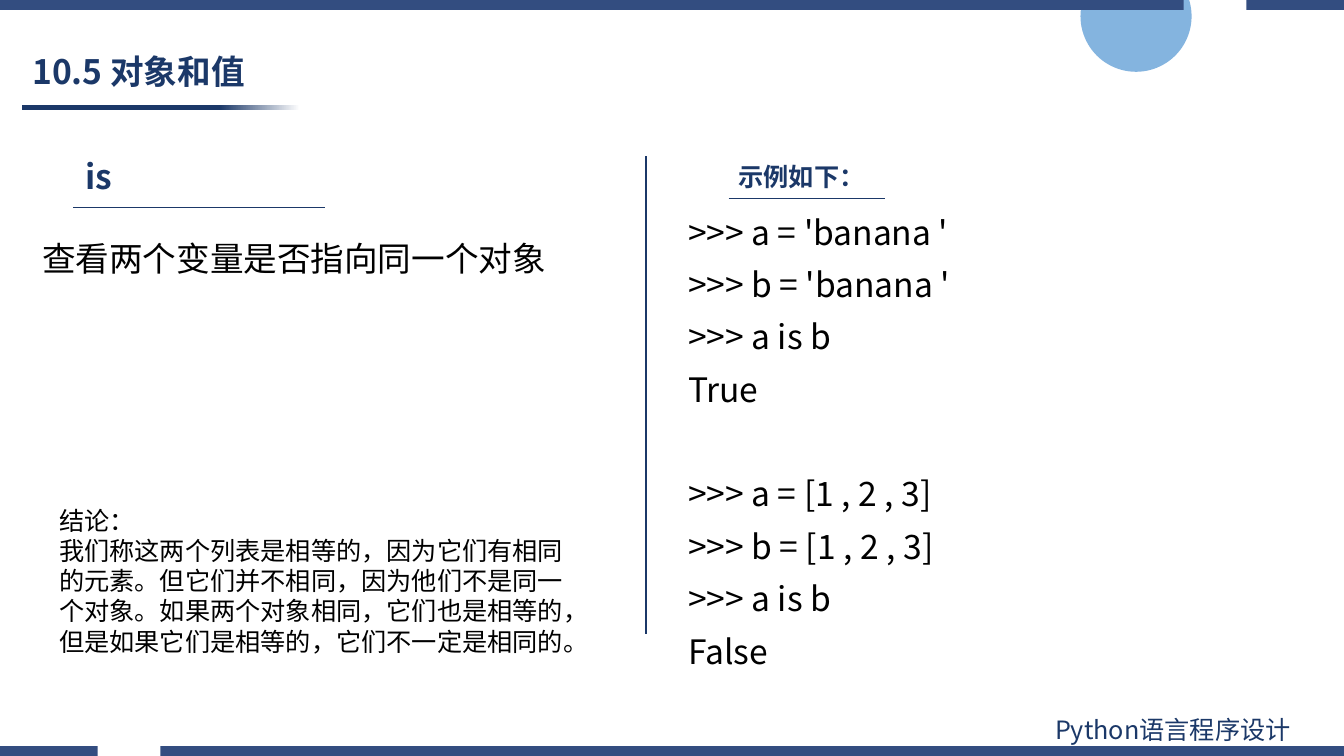
from lxml.etree import SubElement
from pptx import Presentation
from pptx.dml.color import RGBColor
from pptx.enum.shapes import MSO_CONNECTOR, MSO_SHAPE
from pptx.enum.text import MSO_ANCHOR, PP_ALIGN
from pptx.oxml.ns import qn
from pptx.util import Cm, Pt

PAGE_WIDTH, PAGE_HEIGHT = 33.87, 19.05
FONT = "Noto Sans CJK SC"
NAVY, BAR_BLUE, SKY, BLACK, WHITE = "1B3868", "334D80", "5B9BD5", "000000", "FFFFFF"
HEADING = {"size": Pt(24), "color": NAVY, "bold": True}
SUBHEADING = {"size": Pt(18), "color": NAVY, "bold": True}
BODY = {"size": Pt(24), "color": BLACK, "bold": False}
NOTE = {"size": Pt(18), "color": BLACK, "bold": False}
FOOTER = {"size": Pt(18), "color": NAVY, "bold": False}

FIRST_EXAMPLE = [">>> a = 'banana '", ">>> b = 'banana '", ">>> a is b", "True"]
SECOND_EXAMPLE = [">>> a = [1 , 2 , 3]", ">>> b = [1 , 2 , 3]", ">>> a is b", "False"]
CONCLUSION = [
    "结论：",
    "我们称这两个列表是相等的，因为它们有相同的元素。但它们并不相同，因为他们不是同一个对象。"
    "如果两个对象相同，它们也是相等的，但是如果它们是相等的，它们不一定是相同的。",
]


def rgb(hex_text):
    return RGBColor.from_string(hex_text)


def lengths(box):
    return [Cm(value) for value in box]


def fill_frame(frame, lines, style, spacing):
    frame.word_wrap = True
    for index, line in enumerate(lines):
        para = frame.paragraphs[0] if index == 0 else frame.add_paragraph()
        para.alignment = PP_ALIGN.LEFT
        para.line_spacing = spacing
        span = para.add_run()
        span.text = line
        for name, value in {"name": FONT, **style}.items():
            if name == "color":
                span.font.color.rgb = rgb(value)
            else:
                setattr(span.font, name, value)
        SubElement(span.font._element, qn("a:ea"), typeface=FONT)


def add_text(page, box, lines, style, spacing=1.0):
    frame = page.shapes.add_textbox(*lengths(box)).text_frame
    fill_frame(frame, lines, style, spacing)
    return frame


def add_line(page, start, end, width):
    line = page.shapes.add_connector(MSO_CONNECTOR.STRAIGHT, *lengths(start + end))
    line.line.color.rgb = rgb(NAVY)
    line.line.width = Pt(width)
    SubElement(line._element.spPr, qn("a:effectLst"))


def finish(shape, color=None):
    shape.shadow.inherit = False
    shape.line.fill.background()
    if color:
        shape.fill.solid()
        shape.fill.fore_color.rgb = rgb(color)


def split_bar(page, top):
    """A full-width bar with a gap near its left end."""
    height = 0.25
    builder = None
    for left, right in ((0, 2.46), (4.04, PAGE_WIDTH)):
        corners = [(Cm(x), Cm(y)) for x, y in
                   ((left, top), (right, top), (right, top + height), (left, top + height))]
        if builder is None:
            builder = page.shapes.build_freeform(*corners[0])
        else:
            builder.move_to(*corners[0])
        builder.add_line_segments(corners[1:], close=True)
    bar = builder.convert_to_shape()
    finish(bar, BAR_BLUE)
    return bar


def page_frame(page):
    # Translucent circle behind the top bar
    circle = page.shapes.add_shape(MSO_SHAPE.OVAL, *lengths((27.23, -0.99, 2.8, 2.8)))
    finish(circle, SKY)
    color = circle._element.spPr.find(qn("a:solidFill"))[0]
    SubElement(color, qn("a:alpha"), val="75000")

    # Bottom bar, and the same bar turned round at the top
    split_bar(page, PAGE_HEIGHT - 0.25)
    split_bar(page, 0).rotation = 180

    add_text(page, (26.34, 17.88, 7.47, 1.02), ["Python语言程序设计"], FOOTER)


def title_region(page, left, top):
    title = page.shapes.title
    box = (left, top, 15.34, 1.42)
    for name, value in zip(("left", "top", "width", "height"), lengths(box)):
        setattr(title, name, value)
    title.text_frame.vertical_anchor = MSO_ANCHOR.MIDDLE
    fill_frame(title.text_frame, ["10.5 对象和值"], HEADING, 0.9)

    # Fading rule under the title
    rule = page.shapes.add_shape(MSO_SHAPE.RECTANGLE, *lengths((left, top + 1.51, 7, 0.13)))
    finish(rule)
    rule.fill.gradient()
    rule.fill.gradient_angle = 0
    for stop, (position, color) in zip(rule.fill.gradient_stops, ((0.71, NAVY), (1, WHITE))):
        stop.position = position
        stop.color.rgb = rgb(color)


def explanation_panel(page, left, top):
    add_text(page, (left + 1.09, top, 8.64, 1.27), ["is"], HEADING)
    add_line(page, (left + 1.04, top + 1.42), (left + 7.39, top + 1.42), 0.5)
    add_text(page, (left, top + 1.75, 15.14, 1.47),
             ["查看两个变量是否指向同一个对象"], BODY, 1.3)
    add_text(page, (left + 0.43, top + 8.79, 13.69, 4.11), CONCLUSION, NOTE)


def example_panel(page, left, top):
    add_text(page, (left + 1.27, top + 0.13, 5.36, 1.02), ["示例如下："], SUBHEADING)
    add_line(page, (left + 1.27, top + 1.2), (left + 5.21, top + 1.2), 0.5)
    code = add_text(page, (left, top + 1.09, 14.55, 13.59),
                    FIRST_EXAMPLE + SECOND_EXAMPLE, BODY, 1.3)
    # One line of space between the two examples
    code.paragraphs[len(FIRST_EXAMPLE)].space_before = Pt(37.4)


def main():
    deck = Presentation()
    deck.slide_width, deck.slide_height = Cm(PAGE_WIDTH), Cm(PAGE_HEIGHT)
    page = deck.slides.add_slide(deck.slide_layouts[5])
    page_frame(page)
    title_region(page, 0.56, 1.14)
    explanation_panel(page, 0.81, 3.81)
    add_line(page, (16.28, 3.94), (16.28, 15.98), 2)
    example_panel(page, 17.09, 3.81)
    deck.save("out.pptx")


if __name__ == "__main__":
    main()
